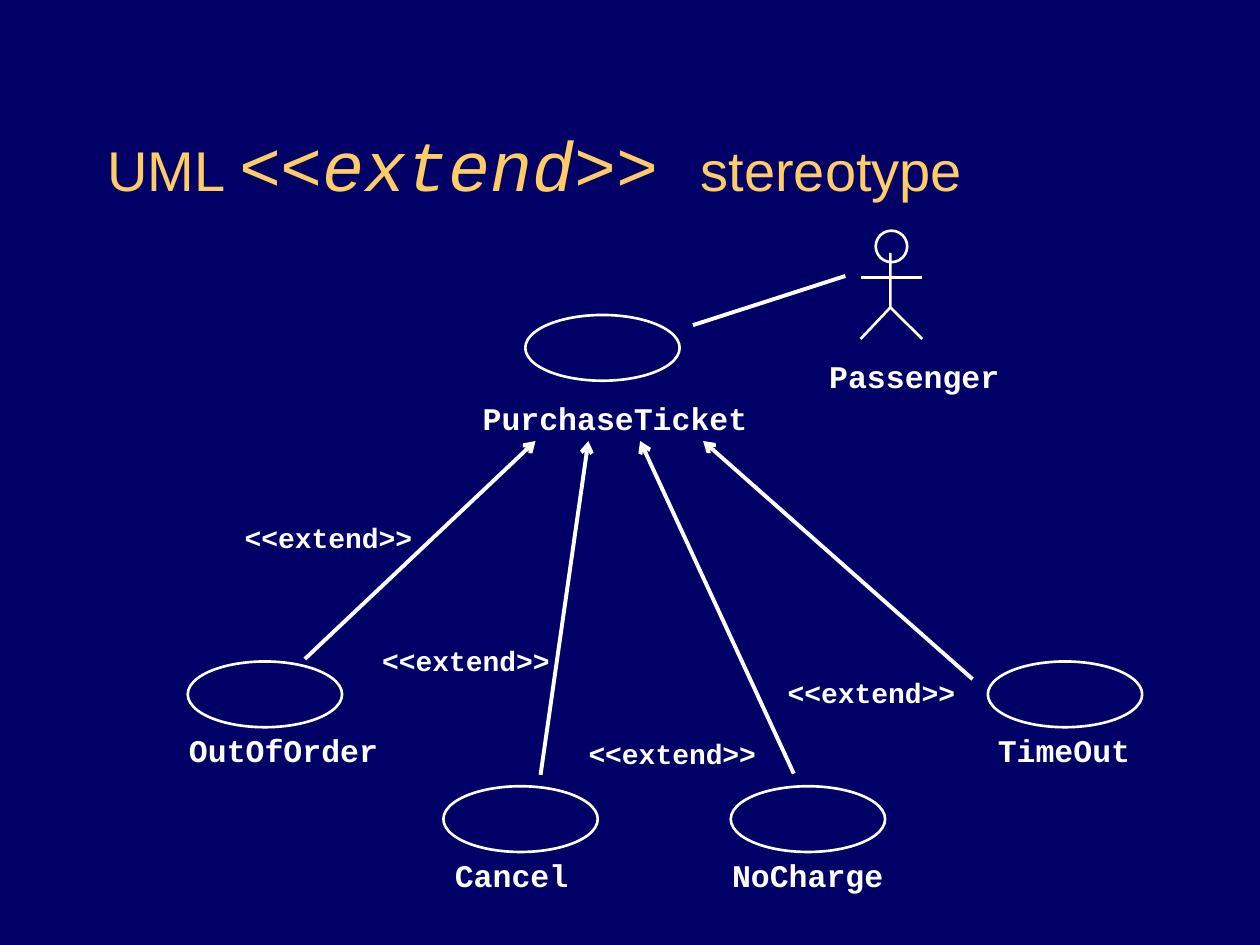
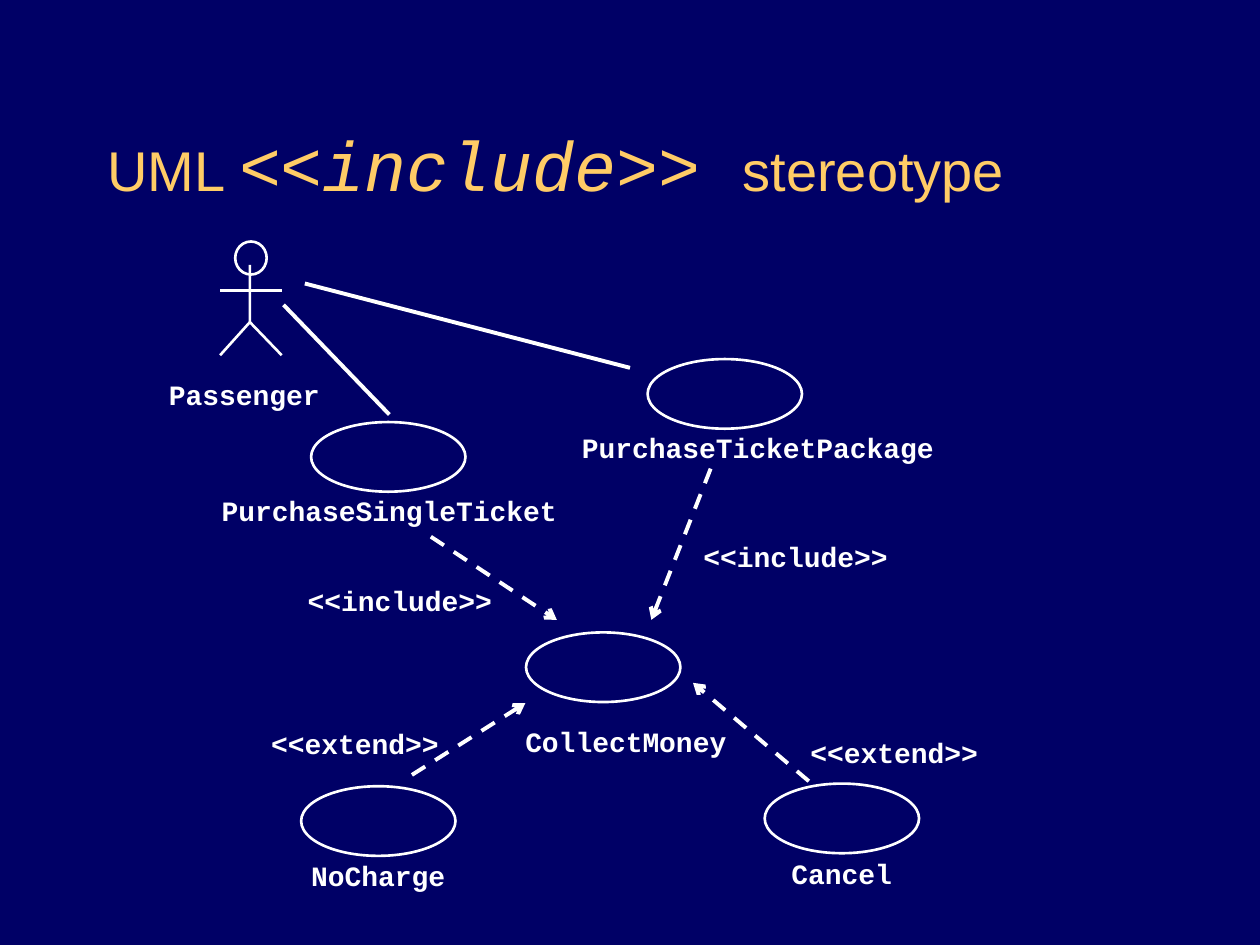
"""Builds two use case diagrams that show the UML extend and include stereotypes."""
from dataclasses import dataclass

from pptx import Presentation
from pptx.dml.color import RGBColor
from pptx.enum.dml import MSO_LINE
from pptx.enum.shapes import MSO_CONNECTOR, MSO_SHAPE
from pptx.enum.text import MSO_ANCHOR, MSO_AUTO_SIZE as AUTO_SIZE, PP_ALIGN
from pptx.oxml.ns import qn
from pptx.oxml.xmlchemy import OxmlElement
from pptx.util import Pt


@dataclass(frozen=True)
class Theme:
    background: RGBColor = RGBColor(0x00, 0x00, 0x66)
    title: RGBColor = RGBColor(0xFF, 0xCC, 0x66)
    ink: RGBColor = RGBColor(0xFF, 0xFF, 0xFF)
    title_font: str = "Arial"
    code_font: str = "Courier New"
    title_size: int = 32
    title_code_size: int = 40
    stereotype_size: int = 16
    outline: float = 1.5
    relation: float = 2.25


THEME = Theme()


def add_label(slide, text, left, top, size, pad_x=0, pad_y=0):
    """Place monospaced text in a box that fits it."""
    width = 0.6 * size * len(text) + 2 * pad_x
    height = 1.2 * size + 2 * pad_y
    frame = slide.shapes.add_textbox(Pt(left), Pt(top), Pt(width), Pt(height)).text_frame
    frame.margin_left = frame.margin_right = Pt(pad_x)
    frame.margin_top = frame.margin_bottom = Pt(pad_y)
    frame.word_wrap = False
    frame.auto_size = AUTO_SIZE.SHAPE_TO_FIT_TEXT
    frame.text = text
    paragraph = frame.paragraphs[0]
    paragraph.alignment = PP_ALIGN.CENTER if pad_x else PP_ALIGN.LEFT
    font = paragraph.runs[0].font
    font.name, font.size, font.bold = THEME.code_font, Pt(size), True
    font.color.rgb = THEME.ink


def add_line(slide, start, end, width, dashed=False, arrow=False):
    """Draw a straight line, with an arrowhead at its end if asked."""
    points = [Pt(value) for value in (*start, *end)]
    connector = slide.shapes.add_connector(MSO_CONNECTOR.STRAIGHT, *points)
    connector.line.color.rgb = THEME.ink
    connector.line.width = Pt(width)
    if dashed:
        connector.line.dash_style = MSO_LINE.DASH
    properties = connector._element.spPr
    if arrow:
        arrowhead = OxmlElement("a:tailEnd")
        arrowhead.set("type", "arrow")
        properties.find(qn("a:ln")).append(arrowhead)
    properties.append(OxmlElement("a:effectLst"))


diagrams = [
    {
        "stereotype": "<<extend>>",
        "name_size": 18,
        "oval_height": 37.6,
        "dashed": False,
        "actor": (500.4, 131.8, 1),
        "actor_name": (473.8, 203.8),
        "use_cases": [
            ("PurchaseTicket", (300.2, 180), (275.8, 228.2)),
            ("OutOfOrder", (107.3, 378), (108, 417.6)),
            ("Cancel", (253.4, 449.3), (259.9, 488.9)),
            ("NoCharge", (417.6, 449.3), (418.3, 488.9)),
            ("TimeOut", (564.5, 378), (570.2, 417.6)),
        ],
        "associations": [((396, 185.8), (483.1, 157.7))],
        "dependencies": [
            ("<<extend>>", (174.2, 376.6), (306, 252), (132.5, 293.8)),
            ("<<extend>>", (308.9, 442.8), (336.2, 252), (211, 364.3)),
            ("<<extend>>", (453.6, 442.1), (365.8, 252), (329, 417.6)),
            ("<<extend>>", (555.8, 388.1), (401.8, 252), (442.8, 382.3)),
        ],
    },
    {
        "stereotype": "<<include>>",
        "name_size": 16,
        "oval_height": 39.8,
        "dashed": True,
        "actor": (134.4, 138, 1.05),
        "actor_name": (96.5, 216),
        "use_cases": [
            ("PurchaseSingleTicket", (177.8, 241.2), (126.7, 282.2)),
            ("PurchaseTicketPackage", (370.1, 205.2), (332.6, 246.2)),
            ("CollectMoney", (300.6, 361.4), (300.2, 414)),
            ("NoCharge", (172.1, 449.3), (177.8, 490.3)),
            ("Cancel", (437, 447.8), (452.2, 489.6)),
        ],
        "associations": [
            ((162, 174.2), (222.5, 236.9)),
            ((174.2, 162), (360, 210.2)),
        ],
        "dependencies": [
            ("<<include>>", (246.2, 306.7), (318.2, 354.2), (168.5, 329.8)),
            ("<<include>>", (406.1, 267.8), (372.2, 354.2), (394.6, 304.6)),
            ("<<extend>>", (235.4, 442.8), (300.2, 401.8), (147.6, 411.8)),
            ("<<extend>>", (462.2, 446.4), (396, 390.2), (455.8, 416.9)),
        ],
    },
]

deck = Presentation()
deck.slide_width, deck.slide_height = Pt(720), Pt(540)
master_fill = deck.slide_master.background.fill
master_fill.solid()
master_fill.fore_color.rgb = THEME.background
title_only = deck.slide_layouts[5]

for diagram in diagrams:
    slide = deck.slides.add_slide(title_only)

    title = slide.shapes.title
    title.left, title.top, title.width, title.height = Pt(54), Pt(48.2), Pt(636.5), Pt(90)
    title.text_frame.vertical_anchor = MSO_ANCHOR.MIDDLE
    title.text_frame.auto_size = AUTO_SIZE.NONE
    heading = title.text_frame.paragraphs[0]
    heading.alignment = PP_ALIGN.LEFT
    for words, is_code in (("UML ", False), (diagram["stereotype"] + " ", True), ("stereotype", False)):
        run = heading.add_run()
        run.text = words
        run.font.name = THEME.code_font if is_code else THEME.title_font
        run.font.size = Pt(THEME.title_code_size if is_code else THEME.title_size)
        run.font.italic = is_code
        run.font.color.rgb = THEME.title

    head_left, head_top, stretch = diagram["actor"]
    spine, left_hand, right_hand = (head_left + offset for offset in (8.4, -8.6, 26.6))
    neck, arms, hip, feet = (head_top + stretch * offset for offset in (12.8, 26.6, 43.9, 61.9))
    outline = slide.shapes.build_freeform(Pt(spine), Pt(neck))
    outline.add_line_segments([(Pt(spine), Pt(hip)), (Pt(left_hand), Pt(feet))], close=False)
    figures = [outline.convert_to_shape()]
    add_line(slide, (spine, hip), (right_hand, feet), THEME.outline)
    add_line(slide, (left_hand, arms), (right_hand, arms), THEME.outline)
    add_label(slide, "Passenger", *diagram["actor_name"], diagram["name_size"])

    ovals = [(head_left, head_top, 18, 18 * stretch)]
    for name, oval_corner, name_corner in diagram["use_cases"]:
        ovals.append((*oval_corner, 88.2, diagram["oval_height"]))
        add_label(slide, name, *name_corner, diagram["name_size"])
    for oval in ovals:
        figures.append(slide.shapes.add_shape(MSO_SHAPE.OVAL, *(Pt(value) for value in oval)))
    for figure in figures:
        figure.shadow.inherit = False
        figure.fill.background()
        figure.line.color.rgb = THEME.ink
        figure.line.width = Pt(THEME.outline)

    for start, end in diagram["associations"]:
        add_line(slide, start, end, THEME.relation)
    for stereotype, start, end, corner in diagram["dependencies"]:
        add_line(slide, start, end, THEME.relation, diagram["dashed"], arrow=True)
        add_label(slide, stereotype, *corner, THEME.stereotype_size, pad_x=7.2, pad_y=3.6)

deck.save("out.pptx")
